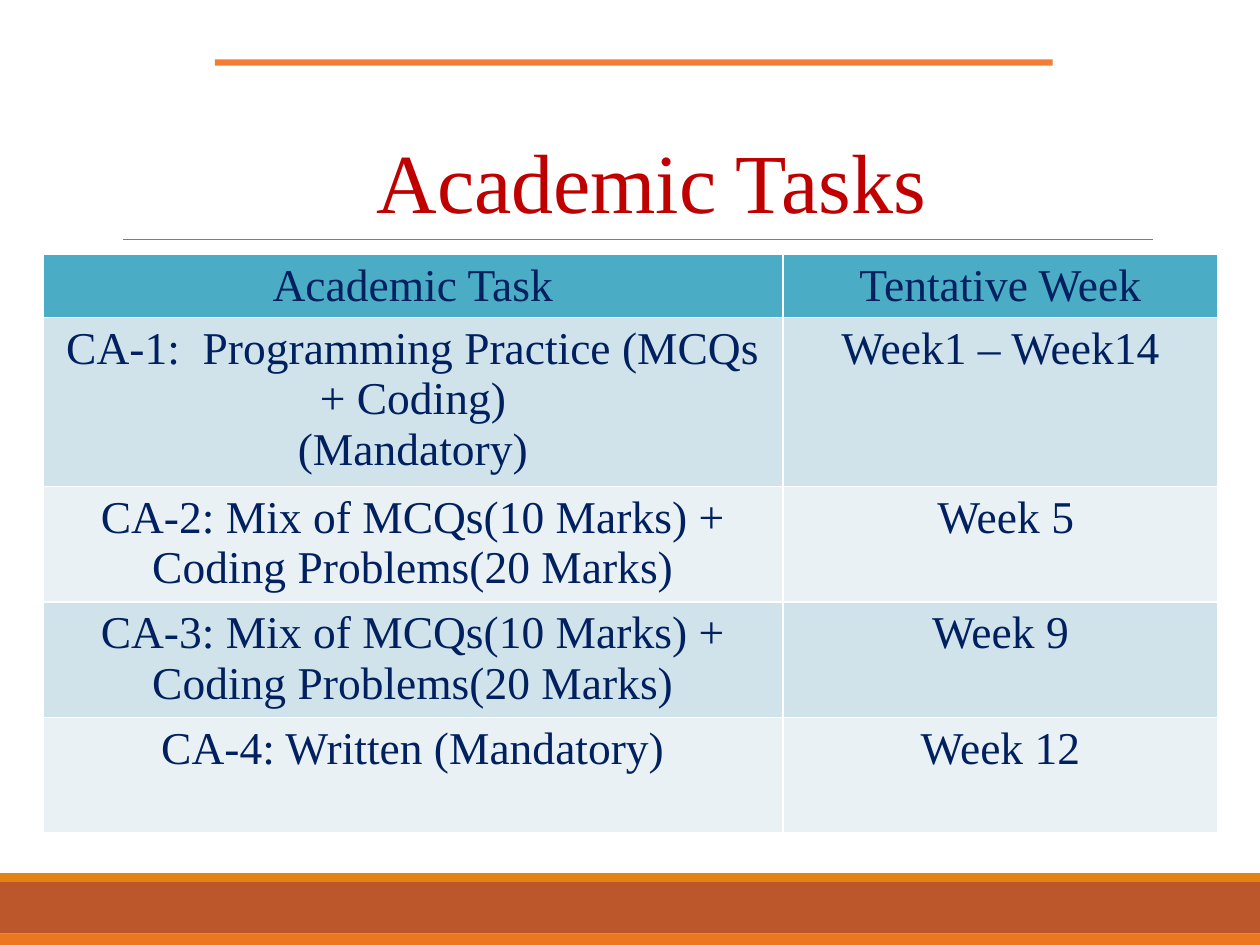
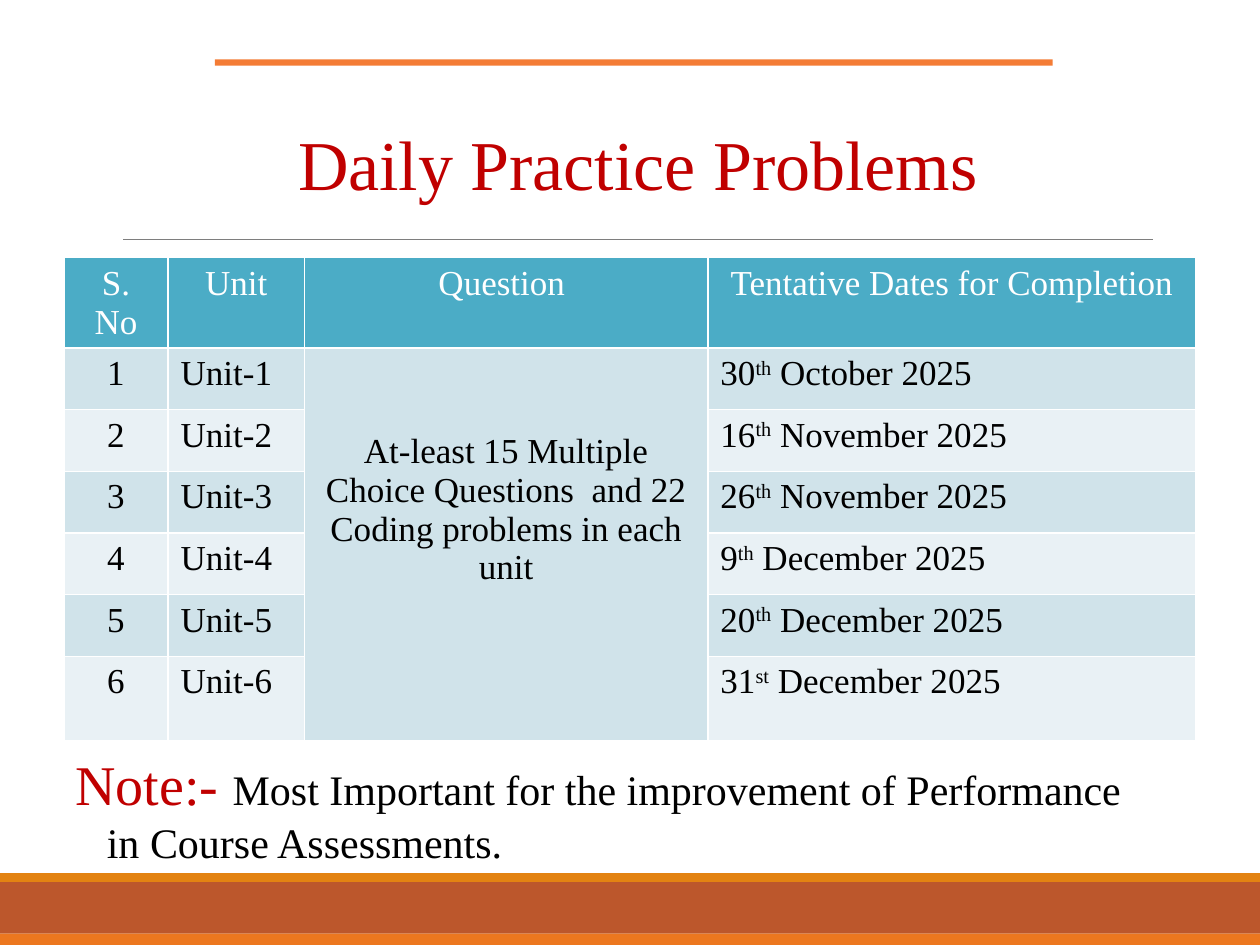
from lxml import etree
from pptx import Presentation
from pptx.dml.color import RGBColor
from pptx.enum.shapes import MSO_CONNECTOR, MSO_SHAPE
from pptx.enum.text import MSO_ANCHOR, MSO_AUTO_SIZE, PP_ALIGN
from pptx.oxml.ns import qn
from pptx.util import Pt

LEFT, CENTER = PP_ALIGN.LEFT, PP_ALIGN.CENTER
TOP, MIDDLE = MSO_ANCHOR.TOP, MSO_ANCHOR.MIDDLE
NO_FIT = MSO_AUTO_SIZE.NONE
RECT, STRAIGHT = MSO_SHAPE.RECTANGLE, MSO_CONNECTOR.STRAIGHT

FONT = "Times New Roman"
RED, NAVY, BLACK, WHITE = "C00000", "002060", "000000", "FFFFFF"
HEADER_FILL, ROW_FILLS = "4BACC6", ("D0E3EA", "E9F1F5")

BANDS = [
    ("BC572C", 0, 504, 720, 29.6),
    ("E38312", 0, 499, 720, 5),
    ("EC771F", 0, 533.6, 720, 6.4),
    ("F47C35", 122.75, 34, 478.75, 3.5),
]
RULE_COLOR, RULE = "7E7E7E", (70.5, 136.75, 659, 136.75)

TASKS = [
    ("Academic Task", "Tentative Week"),
    (["CA-1:  Programming Practice (MCQs + Coding)", "(Mandatory)"], "Week1 – Week14"),
    ("CA-2: Mix of MCQs(10 Marks) + Coding Problems(20 Marks)", " Week 5"),
    ("CA-3: Mix of MCQs(10 Marks) + Coding Problems(20 Marks)", "Week 9"),
    ("CA-4: Written (Mandatory)", "Week 12"),
]
UNIT_HEADER = ("S. No", "Unit", "Question ", "Tentative Dates for Completion")
QUESTIONS = "At-least 15 Multiple Choice Questions  and 22 Coding problems in each unit"
DATES = [
    ("30", "th", "October"),
    ("16", "th", "November"),
    ("26", "th", "November"),
    ("9", "th", "December"),
    ("20", "th", "December"),
    ("31", "st", "December"),
]
NOTE = [
    ("Note:- ", dict(size=32, color=RED)),
    ("Most Important for the improvement of Performance in Course Assessments.", {}),
]


def rgb(color):
    return RGBColor.from_string(color)


def write(tf, content, size, color, align=LEFT, hang=0):
    """content: a string, or a list of paragraphs, each a string or a list of (text, format) runs."""
    paragraphs = [content] if isinstance(content, str) else content
    for i, runs in enumerate(paragraphs):
        p = tf.paragraphs[0] if i == 0 else tf.add_paragraph()
        p.alignment = align
        if hang:
            pPr = p._p.get_or_add_pPr()
            pPr.set("marL", str(Pt(hang)))
            pPr.set("indent", str(-Pt(hang)))
        for text, fmt in [(runs, {})] if isinstance(runs, str) else runs:
            r = p.add_run()
            r.text = text
            r.font.name = FONT
            r.font.bold = False
            r.font.size = Pt(fmt.get("size", size))
            r.font.color.rgb = rgb(fmt.get("color", color))
            if "raised" in fmt:
                r._r.get_or_add_rPr().set("baseline", str(fmt["raised"] * 1000))


def set_borders(cell, color=WHITE, width=1):
    tcPr = cell._tc.get_or_add_tcPr()
    for i, side in enumerate(("lnL", "lnR", "lnT", "lnB")):
        ln = etree.Element(qn(f"a:{side}"), w=str(Pt(width)))
        fill = etree.SubElement(ln, qn("a:solidFill"))
        etree.SubElement(fill, qn("a:srgbClr"), val=color)
        tcPr.insert(i, ln)


def add_slide(prs, title, size, box):
    s = prs.slides.add_slide(prs.slide_layouts[5])
    for color, *place in BANDS:
        sp = s.shapes.add_shape(RECT, *map(Pt, place))
        sp.shadow.inherit = False
        sp.fill.solid()
        sp.fill.fore_color.rgb = rgb(color)
        sp.line.fill.background()
    rule = s.shapes.add_connector(STRAIGHT, *map(Pt, RULE))
    rule.line.color.rgb = rgb(RULE_COLOR)
    rule.line.width = Pt(0.5)
    etree.SubElement(rule._element.spPr, qn("a:effectLst"))

    sp = s.shapes.title
    sp.left, sp.top, sp.width, sp.height = map(Pt, box)
    tf = sp.text_frame
    tf.auto_size, tf.vertical_anchor, tf.word_wrap = NO_FIT, TOP, True
    tf.margin_left = tf.margin_right = tf.margin_bottom = 0
    tf.margin_top = Pt(5)
    write(tf, title, size, RED, CENTER)
    return s


def add_grid(s, rows, left, top, widths, heights, size, header_color, color, aligns):
    table = s.shapes.add_table(len(rows), len(widths), Pt(left), Pt(top),
                               Pt(sum(widths)), Pt(sum(heights))).table
    for column, width in zip(table.columns, widths):
        column.width = Pt(width)
    for i, row in enumerate(rows):
        table.rows[i].height = Pt(heights[i])
        for j, content in enumerate(row):
            cell = table.cell(i, j)
            cell.fill.solid()
            cell.fill.fore_color.rgb = rgb(ROW_FILLS[(i - 1) % 2] if i else HEADER_FILL)
            set_borders(cell)
            if content:
                write(cell.text_frame, content, size, color if i else header_color,
                      aligns[j] if i else CENTER)
    return table


def add_tasks(prs):
    s = add_slide(prs, "Academic Tasks", 48, (157, 69, 430.5, 61))
    add_grid(s, TASKS, 24.5, 145.5, (423, 248.5), (36, 96.5, 66, 66, 66),
             26, NAVY, NAVY, (CENTER, CENTER))


def add_practice(prs):
    s = add_slide(prs, "Daily Practice Problems ", 40, (67, 64, 605, 48))
    rows = [UNIT_HEADER]
    for n, (day, suffix, month) in enumerate(DATES, 1):
        date = [(day, {}), (suffix, dict(raised=30)), (f" {month} 2025", {})]
        rows.append((str(n), f"Unit-{n}", QUESTIONS if n == 1 else "", [date]))
    heights = [51.5] + [35.25] * 5 + [48.5]
    table = add_grid(s, rows, 36.5, 147.25, (59.5, 78, 230.5, 279), heights,
                     20, WHITE, BLACK, (CENTER, LEFT, CENTER, LEFT))
    questions = table.cell(1, 2)
    questions.merge(table.cell(len(DATES), 2))
    questions.margin_top = Pt(48)

    tf = s.shapes.add_textbox(Pt(36), Pt(417), Pt(648), Pt(90)).text_frame
    tf.word_wrap, tf.vertical_anchor = True, MIDDLE
    tf.margin_right = Pt(36)
    write(tf, [NOTE], 24, BLACK, hang=18)


def main():
    prs = Presentation()
    prs.slide_width, prs.slide_height = Pt(720), Pt(540)
    add_tasks(prs)
    add_practice(prs)
    prs.save("out.pptx")


if __name__ == "__main__":
    main()
